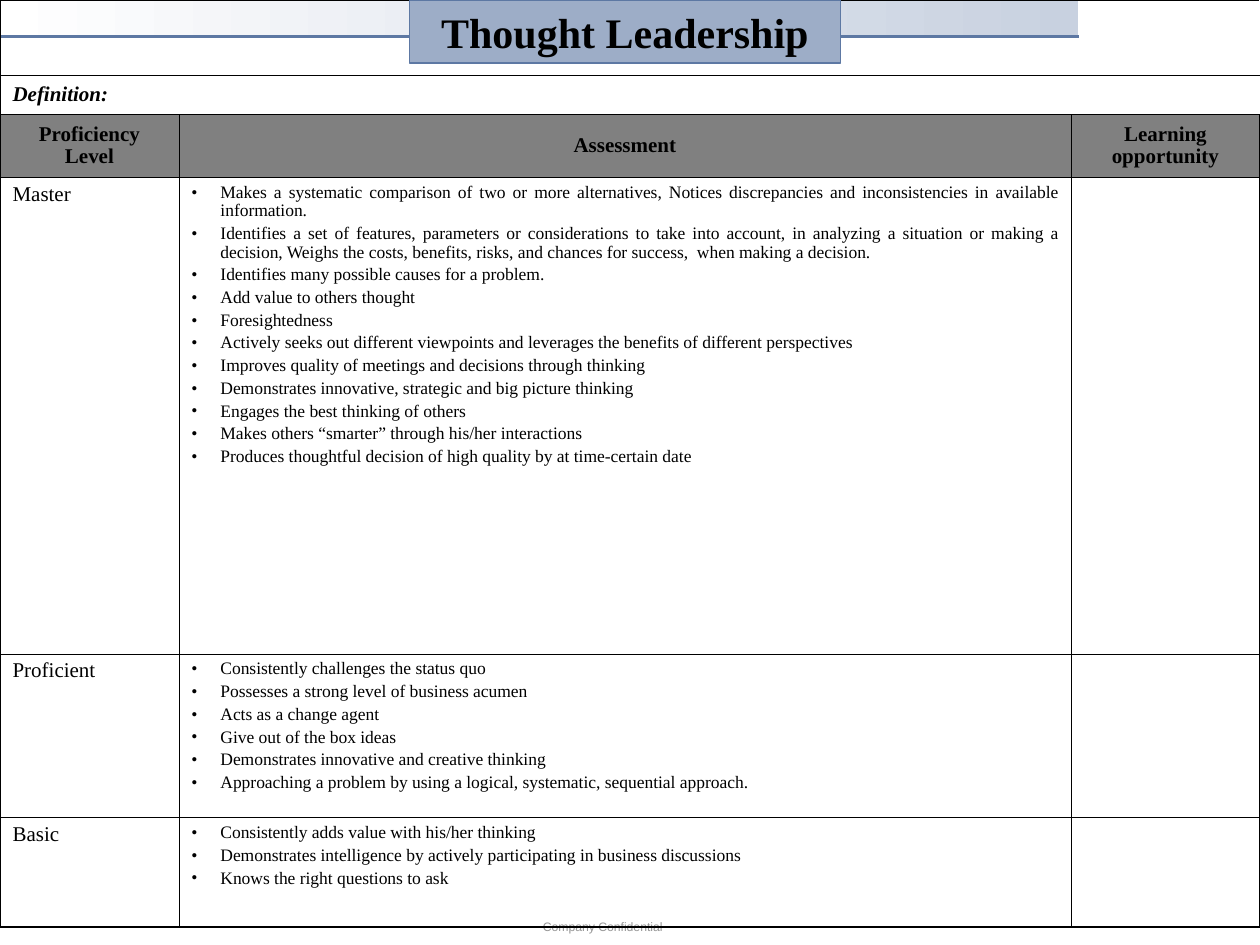
import pptx
import pptx.util
import pptx.dml.color
import pptx.enum.text
import pptx.enum.shapes
import pptx.oxml.ns
from dataclasses import dataclass
from lxml import etree

Inches, Pt = pptx.util.Inches, pptx.util.Pt
Align, Anchor = pptx.enum.text.PP_ALIGN, pptx.enum.text.MSO_ANCHOR
qn = pptx.oxml.ns.qn


@dataclass(frozen=True)
class Theme:
    ink: str = "000000"
    white: str = "FFFFFF"
    fade: str = "C8D1E0"
    blue: str = "5D78A3"
    pale: str = "9DADC7"
    head: str = "808080"
    note: str = "969696"
    serif: str = "Times New Roman"
    sans: str = "Arial"
    title: float = 24
    label: float = 12
    body: float = 10
    foot: float = 7
    outer: float = 1.08
    inner: float = 0.45


THEME = Theme()
TITLE = "Thought Leadership"
HEADS = ["Proficiency Level", "Assessment", "Learning opportunity"]
LEVELS = {
    "Master": [
        "Makes a systematic comparison of two or more alternatives, Notices "
        "discrepancies and inconsistencies in available information.",
        "Identifies a set of features, parameters or considerations to take into "
        "account, in analyzing a situation or making a decision, Weighs the costs, "
        "benefits, risks, and chances for success,  when making a decision.",
        "Identifies many possible causes for a problem.",
        "Add value to others thought",
        "Foresightedness",
        "Actively seeks out different viewpoints and leverages the benefits of "
        "different perspectives",
        "Improves quality of meetings and decisions through thinking",
        "Demonstrates innovative, strategic and big picture thinking",
        "Engages the best thinking of others",
        "Makes others “smarter” through his/her interactions",
        "Produces thoughtful decision of high quality by at time-certain date",
    ],
    "Proficient": [
        "Consistently challenges the status quo",
        "Possesses a strong level of business acumen",
        "Acts as a change agent",
        "Give out of the box ideas",
        "Demonstrates innovative and creative thinking",
        "Approaching a problem by using a logical, systematic, sequential approach.",
    ],
    "Basic": [
        "Consistently adds value with his/her thinking",
        "Demonstrates intelligence by actively participating in business discussions",
        "Knows the right questions to ask",
    ],
}
COLS = [1.42, 7.08, 1.5]
ROWS = [0.6, 0.31, 0.5, 3.78, 1.3, 0.87]


def rgb(code):
    return pptx.dml.color.RGBColor.from_string(code)


def style(para, size, face=THEME.serif, color=THEME.ink, bold=False, slant=False):
    font = para.font
    font.name, font.size, font.bold, font.italic = face, Pt(size), bold, slant
    font.color.rgb = rgb(color)


def add_band(slide, x, y, w, h):
    """Fading strip with a rule along its lower edge."""
    strip = slide.shapes.add_shape(
        pptx.enum.shapes.MSO_SHAPE.RECTANGLE, Inches(x), Inches(y), Inches(w), Inches(h))
    strip.shadow.inherit = False
    strip.line.fill.background()
    strip.fill.gradient()
    strip.fill.gradient_angle = 0
    for stop, color, pos in zip(
            strip.fill.gradient_stops, (THEME.white, THEME.fade), (0, 1)):
        stop.color.rgb, stop.position = rgb(color), pos
    rule = slide.shapes.add_connector(
        pptx.enum.shapes.MSO_CONNECTOR.STRAIGHT,
        Inches(x), Inches(y + h), Inches(x + w), Inches(y + h))
    rule.line.color.rgb, rule.line.width = rgb(THEME.blue), Pt(2.25)
    etree.SubElement(rule._element.spPr, qn("a:effectLst"))


def add_foot(slide, x, y, w, h):
    box = slide.shapes.add_textbox(Inches(x), Inches(y), Inches(w), Inches(h))
    box.text_frame.word_wrap = False
    para = box.text_frame.paragraphs[0]
    para.text = "Company Confidential"
    style(para, THEME.foot, THEME.sans, THEME.note)


def set_edges(cell, edges):
    props = cell._tc.get_or_add_tcPr()
    for side, width in edges.items():
        line = etree.SubElement(props, qn("a:ln" + side), w=str(Pt(width)))
        fill = etree.SubElement(line, qn("a:solidFill"))
        etree.SubElement(fill, qn("a:srgbClr"), val=THEME.ink)


def rule_cells(table):
    """Heavy lines round the table, thin lines inside it."""
    last, end = len(ROWS) - 1, len(COLS) - 1
    for r in range(len(ROWS)):
        for c in range(len(COLS)):
            cell = table.cell(r, c)
            edges = {
                "L": THEME.inner if c else THEME.outer,
                "R": THEME.outer if c == end else THEME.inner,
                "T": THEME.inner if r else THEME.outer,
                "B": THEME.outer if r == last else THEME.inner,
            }
            if cell.is_spanned:
                del edges["L"]
            if cell.is_merge_origin or (cell.is_spanned and c < end):
                del edges["R"]
            set_edges(cell, edges)
            cell.fill.background()


def fill_cell(cell, text, align=Align.LEFT, anchor=Anchor.TOP, **look):
    cell.vertical_anchor = anchor
    para = cell.text_frame.paragraphs[0]
    para.text, para.alignment = text, align
    para.line_spacing, para.space_after = 0.95, Pt(3)
    style(para, THEME.label, **look)


def fill_list(cell, items):
    frame = cell.text_frame
    frame.text = "\n".join(items)
    for para in frame.paragraphs:
        para.alignment = Align.JUSTIFY
        para.line_spacing, para.space_after = 0.95, Pt(2.5)
        props = para._p.get_or_add_pPr()
        props.set("marL", str(Inches(0.23)))
        props.set("indent", str(-Inches(0.23)))
        etree.SubElement(props, qn("a:buFont"), typeface=THEME.serif)
        etree.SubElement(props, qn("a:buChar"), char="•")
        style(para, THEME.body)


def add_grid(slide, x, y, w, h):
    table = slide.shapes.add_table(
        len(ROWS), len(COLS), Inches(x), Inches(y), Inches(w), Inches(h)).table
    table.first_row = table.horz_banding = False
    for col, part in zip(table.columns, COLS):
        col.width = Inches(w * part / sum(COLS))
    for row, part in zip(table.rows, ROWS):
        row.height = Inches(h * part / sum(ROWS))
    for r in (0, 1):
        table.cell(r, 0).merge(table.cell(r, len(COLS) - 1))
    rule_cells(table)
    fill_cell(table.cell(1, 0), "Definition:", Align.JUSTIFY, Anchor.MIDDLE,
              bold=True, slant=True)
    for c, head in enumerate(HEADS):
        cell = table.cell(2, c)
        fill_cell(cell, head, Align.CENTER, Anchor.MIDDLE, bold=True)
        cell.fill.solid()
        cell.fill.fore_color.rgb = rgb(THEME.head)
    for r, (level, items) in enumerate(LEVELS.items(), 3):
        fill_cell(table.cell(r, 0), level)
        fill_list(table.cell(r, 1), items)


def set_title(slide, x, y, w, h):
    title = slide.shapes.title
    slide.shapes._spTree.append(title._element)  # bring to front
    title.left, title.top, title.width, title.height = map(Inches, (x, y, w, h))
    title.fill.solid()
    title.fill.fore_color.rgb = rgb(THEME.pale)
    title.line.color.rgb, title.line.width = rgb(THEME.blue), Pt(1)
    frame = title.text_frame
    frame.auto_size = pptx.enum.text.MSO_AUTO_SIZE.NONE
    frame.word_wrap, frame.vertical_anchor = False, Anchor.MIDDLE
    frame.margin_left = frame.margin_right = frame.margin_top = frame.margin_bottom = 0
    para = frame.paragraphs[0]
    para.text, para.alignment, para.space_after = TITLE, Align.CENTER, Pt(6)
    style(para, THEME.title, bold=True)


def main():
    deck = pptx.Presentation()
    deck.slide_width, deck.slide_height = Inches(10), Inches(7.5)
    slide = deck.slides.add_slide(deck.slide_layouts[5])
    add_band(slide, 0, 0, 8.56, 0.29)
    add_foot(slide, 4.21, 7.25, 1.56, 0.22)
    add_grid(slide, 0, 0, 10, 7.36)
    set_title(slide, 3.25, 0, 3.42, 0.5)
    deck.save("out.pptx")


if __name__ == "__main__":
    main()
